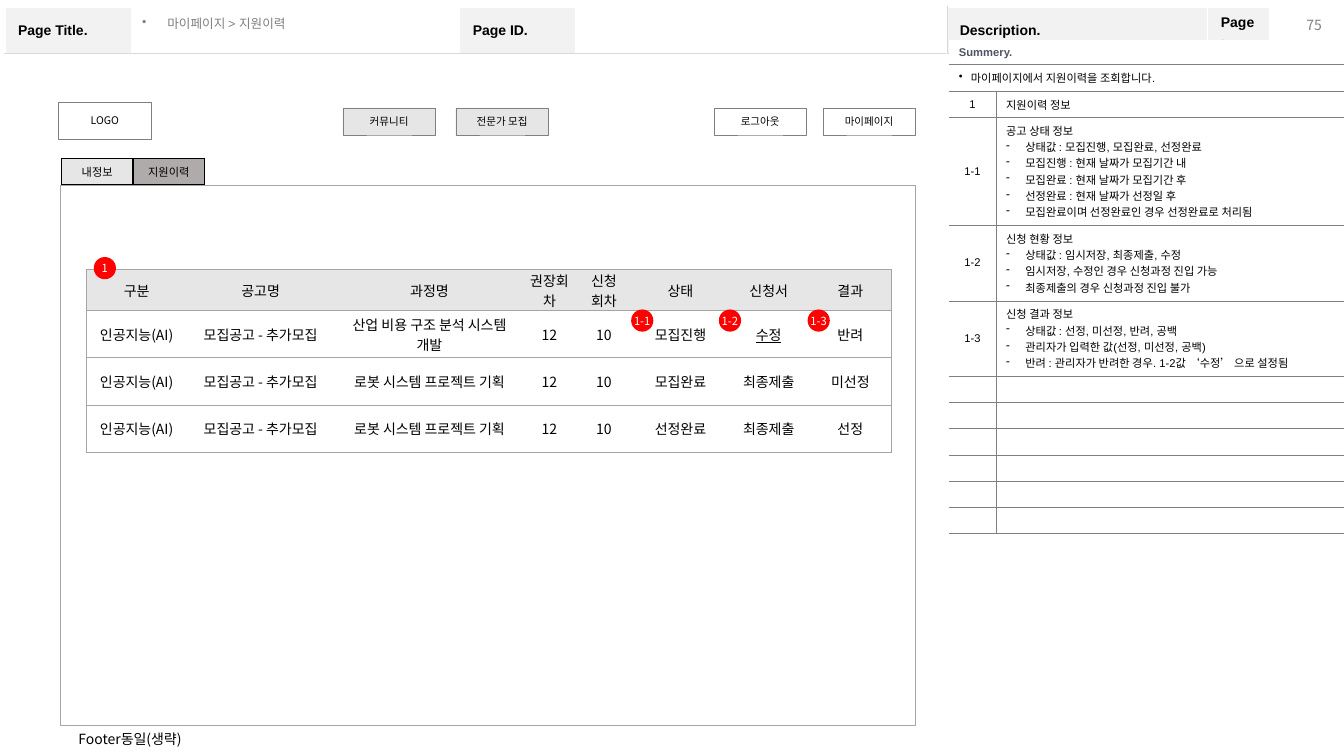
from pptx import Presentation
from pptx.dml.color import RGBColor
from pptx.enum.shapes import MSO_SHAPE
from pptx.enum.text import MSO_ANCHOR, MSO_AUTO_SIZE, PP_ALIGN
from pptx.oxml.ns import qn
from pptx.util import Inches, Pt
from lxml import etree

RECT, OVAL = MSO_SHAPE.RECTANGLE, MSO_SHAPE.OVAL
LEFT, CENTER, RIGHT, JUSTIFY = PP_ALIGN.LEFT, PP_ALIGN.CENTER, PP_ALIGN.RIGHT, PP_ALIGN.JUSTIFY
MIDDLE, NO_FIT = MSO_ANCHOR.MIDDLE, MSO_AUTO_SIZE.NONE

BLACK = RGBColor(0x00, 0x00, 0x00)
WHITE = RGBColor(0xFF, 0xFF, 0xFF)
RED = RGBColor(0xFF, 0x00, 0x00)
SLATE = RGBColor(0x4E, 0x52, 0x63)
GREY = RGBColor(0x80, 0x80, 0x80)
MID_GREY = RGBColor(0xA5, 0xA5, 0xA5)
TAB_GREY = RGBColor(0xAF, 0xAB, 0xAB)
RULE_GREY = RGBColor(0xD9, 0xD9, 0xD9)
PALE_GREY = RGBColor(0xE7, 0xE6, 0xE6)
LABEL_GREY = RGBColor(0xF2, 0xF2, 0xF2)

LATIN, KOREAN = "Arial", "Noto Sans CJK KR"
PLAIN_TABLE = "{2D5ABB26-0587-4C30-8999-92F81FD0307C}"


class Wireframe:
    """Draws the elements of one wireframe slide."""

    def __init__(self, slide):
        self.slide = slide

    def fill_text(self, frame, lines, size, color=BLACK, font=KOREAN, bold=False,
                  align=CENTER, margins=(0, 0, 0, 0), wrap=True):
        """Fill a text frame; a line is a string or (bullet, indent, text)."""
        frame.word_wrap = wrap
        frame.vertical_anchor = MIDDLE
        (frame.margin_left, frame.margin_top,
         frame.margin_right, frame.margin_bottom) = map(Inches, margins)
        for i, line in enumerate(lines):
            paragraph = frame.paragraphs[0] if i == 0 else frame.add_paragraph()
            if isinstance(line, tuple):
                bullet, indent, line = line
                properties = paragraph._p.get_or_add_pPr()
                properties.set("marL", str(Inches(indent)))
                properties.set("indent", str(-Inches(indent)))
                etree.SubElement(properties, qn("a:buChar"), char=bullet)
            paragraph.text = line
            paragraph.alignment = align
            paragraph.font.size = Pt(size)
            paragraph.font.bold = bold
            paragraph.font.name = font
            paragraph.font.color.rgb = color
            etree.SubElement(paragraph.font._element, qn("a:ea"), typeface=KOREAN)
            if not line:
                etree.SubElement(paragraph._p, qn("a:endParaRPr"), sz=str(size * 100))

    def title(self, box, line, size, color):
        title = self.slide.shapes.title
        title.left, title.top, title.width, title.height = map(Inches, box)
        self.fill_text(title.text_frame, [line], size, color, LATIN, align=LEFT,
                       margins=(0.1, 0.05, 0.1, 0.05))
        title.text_frame.auto_size = NO_FIT
        title.text_frame.paragraphs[0].line_spacing = 0.9

    def label(self, box, text, size, **style):
        label = self.slide.shapes.add_textbox(*map(Inches, box))
        self.fill_text(label.text_frame, [text], size, margins=(0.1, 0.05, 0.1, 0.05), **style)

    def shape(self, kind, box, text="", fill=None, line=None, width=0.25,
              size=7.5, **style):
        shape = self.slide.shapes.add_shape(kind, *map(Inches, box))
        shape.shadow.inherit = False
        if fill is None:
            shape.fill.background()
        else:
            shape.fill.solid()
            shape.fill.fore_color.rgb = fill
        if line is None:
            shape.line.fill.background()
        else:
            shape.line.color.rgb = line
            shape.line.width = Pt(width)
        if text:
            self.fill_text(shape.text_frame, [text], size, wrap=False, **style)

    def table(self, left, top, columns, rows):
        frame = self.slide.shapes.add_table(
            len(rows), len(columns), Inches(left), Inches(top),
            Inches(sum(columns)), Inches(sum(rows)))
        table = frame.table
        table.first_row = table.horz_banding = False
        table._tbl.tblPr.find(qn("a:tableStyleId")).text = PLAIN_TABLE
        for column, width in zip(table.columns, columns):
            column.width = Inches(width)
        for row, height in zip(table.rows, rows):
            row.height = Inches(height)
        return table

    def cell(self, cell, lines, size, edges, fill=None, margins=(0, 0, 0, 0), **style):
        """Edges maps the sides L, R, T, B to (colour, points)."""
        self.fill_text(cell.text_frame, lines, size, **style)
        cell.vertical_anchor = MIDDLE
        (cell.margin_left, cell.margin_top,
         cell.margin_right, cell.margin_bottom) = map(Inches, margins)
        for side in "LRTB":
            if side in edges:
                color, width = edges[side]
                edge = etree.SubElement(cell._tc.get_or_add_tcPr(), qn("a:ln" + side),
                                        w=str(Pt(width)))
                paint = etree.SubElement(edge, qn("a:solidFill"))
                etree.SubElement(paint, qn("a:srgbClr"), val=str(color))
        if fill is None:
            cell.fill.background()
        else:
            cell.fill.solid()
            cell.fill.fore_color.rgb = fill


def dashes(heading, *items):
    return [heading] + [("-", 0.19, item) for item in items]


def main():
    presentation = Presentation()
    presentation.slide_width, presentation.slide_height = Inches(13.33), Inches(7.5)
    page = Wireframe(presentation.slides.add_slide(presentation.slide_layouts[5]))

    # Page frame with its header labels
    rule, blank = (RULE_GREY, 0.25), (WHITE, 1)
    page_frame = page.table(0.05, 0.07, [1.26, 3.25, 1.15, 3.68, 2.59, 0.61, 0.68], [0.46, 6.66])
    headers = ["Page Title.", "", "Page ID.", "", "Description.", "Page.", ""]
    for c, header in enumerate(headers):
        left = rule if c == 4 else blank
        right = rule if c == 3 else blank
        page.cell(page_frame.cell(0, c), [header], 10,
                  {"L": left, "R": right, "T": blank, "B": rule},
                  LABEL_GREY if header else None, (0.13, 0.07, 0.13, 0.07),
                  font=LATIN, bold=True, align=LEFT)
        page.cell(page_frame.cell(1, c), [""], 10,
                  {"L": left, "R": right, "T": rule, "B": blank})
    page_frame.cell(1, 0).merge(page_frame.cell(1, 3))
    page_frame.cell(1, 4).merge(page_frame.cell(1, 6))
    page.title((1.31, 0.12, 3.24, 0.24), ("•", 0.25, "마이페이지 > 지원이력"), 9, GREY)
    page.label((12.61, 0.1, 0.6, 0.3), "75", 10, color=GREY, align=RIGHT)

    # Description panel
    notes = [
        ("1", ["지원이력 정보"]),
        ("1-1", dashes("공고 상태 정보", "상태값 : 모집진행, 모집완료, 선정완료",
                       "모집진행 : 현재 날짜가 모집기간 내", "모집완료 : 현재 날짜가 모집기간 후",
                       "선정완료 : 현재 날짜가 선정일 후",
                       "모집완료이며 선정완료인 경우 선정완료로 처리됨")),
        ("1-2", dashes("신청 현황 정보", "상태값 : 임시저장, 최종제출, 수정",
                       "임시저장, 수정인 경우 신청과정 진입 가능",
                       "최종제출의 경우 신청과정 진입 불가")),
        ("1-3", dashes("신청 결과 정보", "상태값 : 선정, 미선정, 반려, 공백",
                       "관리자가 입력한 값(선정, 미선정, 공백)",
                       "반려 : 관리자가 반려한 경우. 1-2값 ‘수정’ 으로 설정됨")),
    ] + [("", [""])] * 6
    line = (GREY, 0.25)
    inset = {"margins": (0.1, 0.05, 0.1, 0.05), "font": LATIN}
    description = page.table(9.41, 0.4, [0.47, 3.45],
                             [0.23, 0.27, 0.26, 1.07, 0.75, 0.75] + [0.26] * 6)
    summary = [(["Summery."], SLATE, True, WHITE),
               ([("•", 0.12, "마이페이지에서 지원이력을 조회합니다.")], BLACK, False, None)]
    for r, (lines, color, bold, fill) in enumerate(summary):
        for c in range(2):
            page.cell(description.cell(r, c), lines if c == 0 else [""], 8, {"B": line}, fill,
                      color=color, bold=bold, align=LEFT, **inset)
        description.cell(r, 0).merge(description.cell(r, 1))
    for r, (number, lines) in enumerate(notes, start=2):
        page.cell(description.cell(r, 0), [number], 8, {"R": line, "T": line, "B": line}, **inset)
        page.cell(description.cell(r, 1), lines, 8, {"L": line, "T": line, "B": line},
                  align=JUSTIFY, **inset)

    # Site header, content area and footer
    page.shape(RECT, (0.58, 1.01, 0.92, 0.37), "LOGO", WHITE, GREY)
    page.shape(RECT, (0.6, 1.84, 8.48, 5.36), line=MID_GREY, width=0.75)
    page.label((0.68, 7.2, 2.1, 0.27), "Footer동일(생략)", 10, align=LEFT)
    for left, name, fill in [(3.4, "커뮤니티", PALE_GREY), (4.52, "전문가 모집", PALE_GREY),
                             (7.08, "로그아웃", WHITE), (8.16, "마이페이지", WHITE)]:
        page.shape(RECT, (left, 1.07, 0.92, 0.27), name, fill, GREY)

    # Tabs
    tabs = page.table(0.61, 1.57, [0.71, 0.71], [0.26])
    for c, (name, fill) in enumerate([("내정보", PALE_GREY), ("지원이력", TAB_GREY)]):
        page.cell(tabs.cell(0, c), [name], 8, dict.fromkeys("LRTB", (BLACK, 1)), fill)

    # Application history
    notice, robot = "모집공고 - 추가모집", "로봇 시스템 프로젝트 기획"
    courses = [("산업 비용 구조 분석 시스템 개발", "모집진행", "수정", "반려"),
               (robot, "모집완료", "최종제출", "미선정"),
               (robot, "선정완료", "최종제출", "선정")]
    history_rows = [["구분", "공고명", "과정명", "권장회차", "신청\n회차", "상태", "신청서", "결과"]]
    history_rows += [["인공지능(AI)", notice, course, "12", "10", *states]
                     for course, *states in courses]
    history = page.table(0.86, 2.67, [0.99, 1.47, 1.88, 0.5, 0.58, 0.94, 0.81, 0.81],
                         [0.41, 0.47, 0.47, 0.47])
    border = (MID_GREY, 1)
    for r, values in enumerate(history_rows):
        for c, value in enumerate(values):
            edges = {"T": border, "B": border}
            if c == 0:
                edges["L"] = border
            if c == len(values) - 1:
                edges["R"] = border
            page.cell(history.cell(r, c), value.split("\n"), 10, edges,
                      WHITE if r else PALE_GREY,
                      (0.1, 0.03, 0.1, 0.03) if r else (0.01, 0.01, 0.01, 0))
    history.cell(1, 6).text_frame.paragraphs[0].font.underline = True

    # Numbered markers
    for left, top, number in [(0.93, 2.55, "1"), (6.26, 3.07, "1-1"),
                              (7.13, 3.07, "1-2"), (8.01, 3.07, "1-3")]:
        page.shape(OVAL, (left, top, 0.22, 0.22), number, RED, size=8, color=WHITE)

    presentation.save("out.pptx")


if __name__ == "__main__":
    main()
